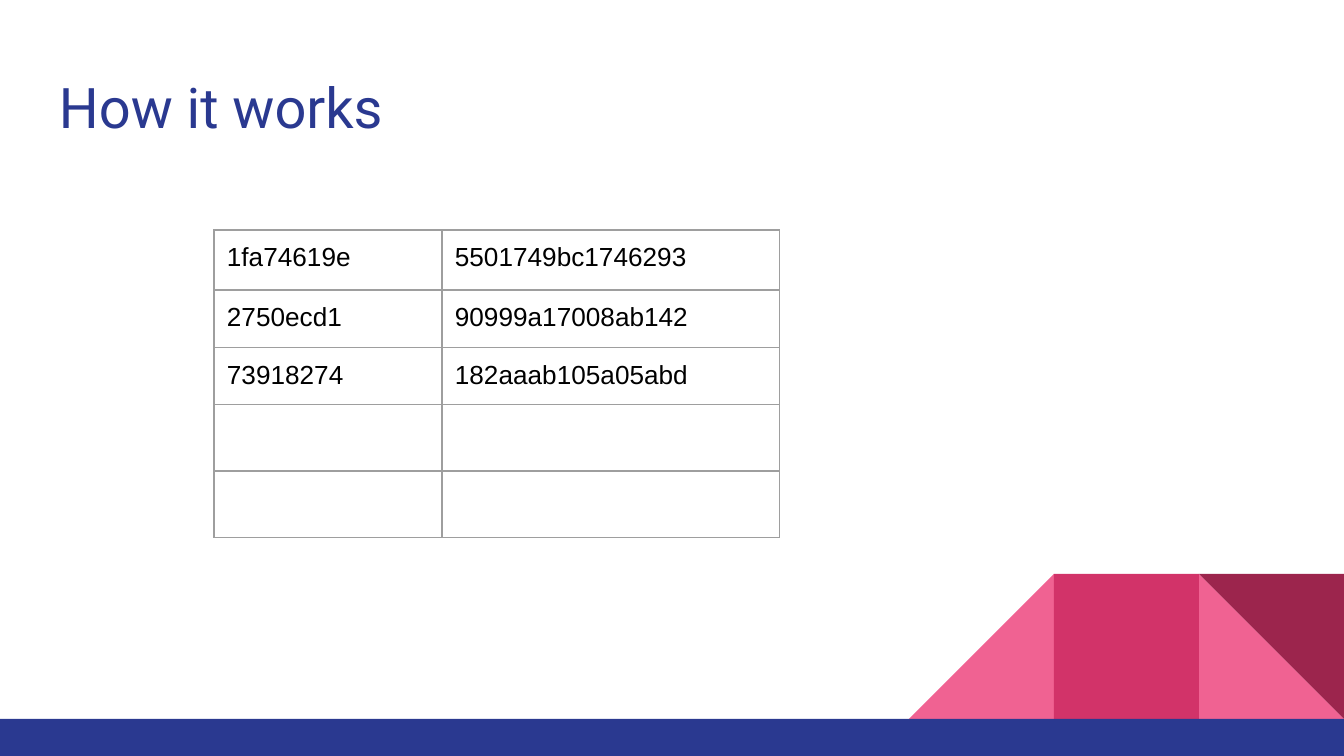
from lxml.etree import SubElement
from pptx import Presentation
from pptx.dml.color import RGBColor
from pptx.enum.shapes import MSO_SHAPE as Shape
from pptx.oxml.ns import qn
from pptx.util import Emu, Pt

COLORS = {
    "navy": "2A3990", "pink": "F06292", "rose": "D23369",
    "wine": "9C254D", "black": "000000", "border": "9E9E9E",
}
WIDTH, HEIGHT = 1344, 756
TITLE = "How it works"
TABLE_ROWS = [
    ("1fa74619e", "5501749bc1746293"),
    ("2750ecd1", "90999a17008ab142"),
    ("73918274", "182aaab105a05abd"),
    ("", ""),
    ("", ""),
]
COLUMN_WIDTHS = [228, 338]
ROW_HEIGHTS = [60, 57, 56, 64, 65]
TABLE_LEFT, TABLE_TOP = 214, 230
TILE, BAR_TOP, INSET = 145, 719, 13

# Tiles: preset, columns from the right edge, colour, rotation, mirrored
TILES = [
    (Shape.RIGHT_TRIANGLE, 1, "pink", 0, False),
    (Shape.RIGHT_TRIANGLE, 3, "pink", 0, True),
    (Shape.RECTANGLE, 2, "rose", 0, False),
    (Shape.RIGHT_TRIANGLE, 1, "wine", 180, False),
]


def px(value):
    return Emu(round(value * 914400 / 134.4))


def color(name):
    return RGBColor.from_string(COLORS[name])


def add_block(page, preset, left, top, width, height, fill):
    block = page.shapes.add_shape(preset, px(left), px(top), px(width), px(height))
    block.shadow.inherit = False
    block.fill.solid()
    block.fill.fore_color.rgb = color(fill)
    block.line.fill.background()
    return block


def write(frame, text, *, size, font, fill):
    frame.word_wrap = True
    span = frame.paragraphs[0].add_run()
    span.text = text
    span.font.size = Pt(size)
    span.font.name = font
    span.font.color.rgb = color(fill)


def set_insets(target):
    for side in ("left", "top", "right", "bottom"):
        setattr(target, f"margin_{side}", px(INSET))


def add_borders(cell, name, points):
    properties = cell._tc.get_or_add_tcPr()
    for index, side in enumerate(("lnL", "lnR", "lnT", "lnB")):
        line = properties.makeelement(qn(f"a:{side}"), {"w": str(Pt(points))})
        fill = SubElement(line, qn("a:solidFill"))
        SubElement(fill, qn("a:srgbClr"), val=COLORS[name])
        properties.insert(index, line)


deck = Presentation()
deck.slide_width, deck.slide_height = px(WIDTH), px(HEIGHT)
page = deck.slides.add_slide(deck.slide_layouts[6])

# Corner decoration and bottom bar
for preset, column, fill, rotation, mirrored in TILES:
    tile = add_block(page, preset, WIDTH - column * TILE, BAR_TOP - TILE,
                     TILE, TILE, fill)
    tile.rotation = rotation
    if mirrored:
        tile._element.spPr.get_or_add_xfrm().set("flipH", "1")
add_block(page, Shape.RECTANGLE, 0, BAR_TOP, WIDTH, HEIGHT - BAR_TOP, "navy")

# Title
title = page.shapes.add_textbox(px(46), px(60), px(1252), px(89))
set_insets(title.text_frame)
write(title.text_frame, TITLE, size=30, font="Roboto", fill="navy")

# Table
table = page.shapes.add_table(
    len(TABLE_ROWS), len(COLUMN_WIDTHS), px(TABLE_LEFT), px(TABLE_TOP),
    px(sum(COLUMN_WIDTHS)), px(sum(ROW_HEIGHTS))).table
table.first_row = table.horz_banding = False
for column, width in zip(table.columns, COLUMN_WIDTHS):
    column.width = px(width)
for row, height, texts in zip(table.rows, ROW_HEIGHTS, TABLE_ROWS):
    row.height = px(height)
    for cell, text in zip(row.cells, texts):
        set_insets(cell)
        cell.fill.background()
        add_borders(cell, "border", 0.75)
        if text:
            write(cell.text_frame, text, size=14, font="Arial", fill="black")

deck.save("out.pptx")
